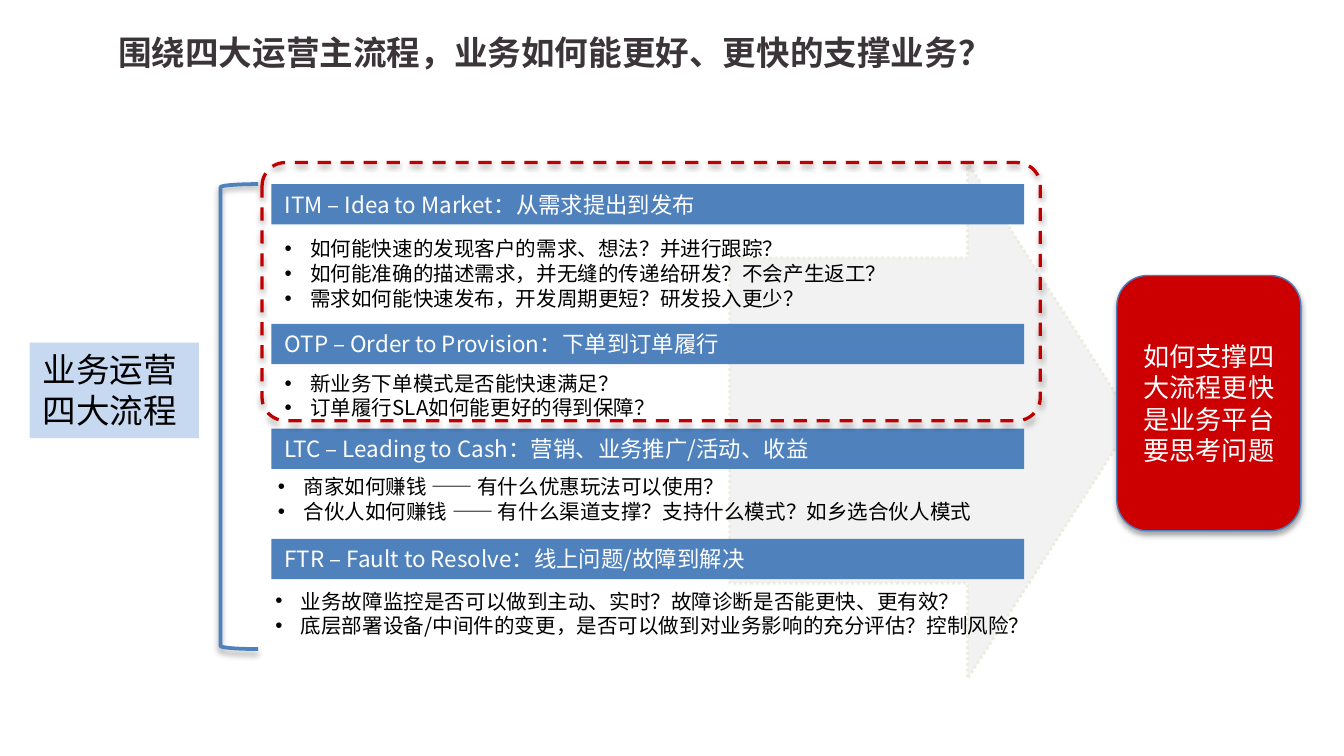
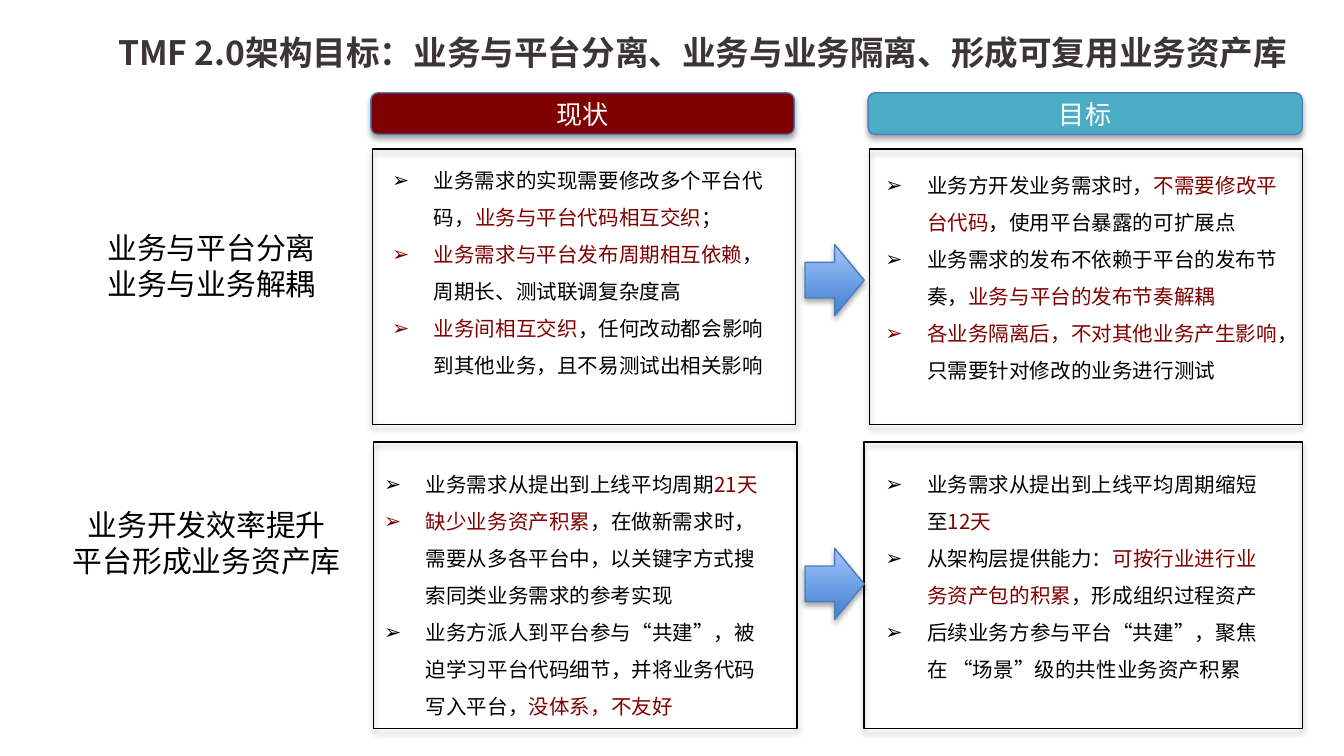
from lxml.etree import SubElement
from pptx import Presentation
from pptx.dml.color import RGBColor
from pptx.enum.dml import MSO_LINE
from pptx.enum.shapes import MSO_SHAPE
from pptx.enum.text import MSO_ANCHOR, PP_ALIGN
from pptx.oxml.ns import qn
from pptx.util import Inches, Pt

RECTANGLE, ROUNDED = MSO_SHAPE.RECTANGLE, MSO_SHAPE.ROUNDED_RECTANGLE
ARROW, BRACKET = MSO_SHAPE.RIGHT_ARROW, MSO_SHAPE.LEFT_BRACKET
DASH, DOTS = MSO_LINE.DASH, MSO_LINE.ROUND_DOT
TOP, MIDDLE = MSO_ANCHOR.TOP, MSO_ANCHOR.MIDDLE
LEFT, CENTER = PP_ALIGN.LEFT, PP_ALIGN.CENTER

FONT = "Noto Sans CJK SC"
BLACK = RGBColor(0x00, 0x00, 0x00)
WHITE = RGBColor(0xFF, 0xFF, 0xFF)
TITLE_GRAY = RGBColor(0x3B, 0x34, 0x39)
ARROW_GRAY = RGBColor(0xF2, 0xF2, 0xF2)
ARROW_EDGE = RGBColor(0xEE, 0xEC, 0xE1)
PALE_BLUE = RGBColor(0xC6, 0xD9, 0xF1)
BLUE = RGBColor(0x4F, 0x81, 0xBD)
EDGE_BLUE = RGBColor(0x4B, 0x7E, 0xBC)
RED = RGBColor(0xCC, 0x00, 0x00)
FRAME_RED = RGBColor(0xC0, 0x00, 0x00)
DARK_RED = RGBColor(0x80, 0x00, 0x00)
TEAL = RGBColor(0x4B, 0xAC, 0xC6)
GRADIENT = (RGBColor(0x3F, 0x80, 0xCE), RGBColor(0xA4, 0xC4, 0xFF))


def add_box(slide, kind, area, fill=None, line=None, width=0.75, shadow=False):
    """Add a preset shape; area is left, top, width and height in inches."""
    shape = slide.shapes.add_shape(kind, *map(Inches, area))
    shape.shadow.inherit = False
    if fill is None:
        shape.fill.background()
    else:
        shape.fill.solid()
        shape.fill.fore_color.rgb = fill
    if line is None:
        shape.line.fill.background()
    else:
        shape.line.color.rgb = line
        shape.line.width = Pt(width)
    if shadow:
        effects = shape._element.spPr.find(qn("a:effectLst"))
        outer = SubElement(effects, qn("a:outerShdw"), blurRad=str(Pt(3.1)), dist=str(Pt(1.8)),
                           dir="5400000", rotWithShape="0")
        color = SubElement(outer, qn("a:srgbClr"), val="000000")
        SubElement(color, qn("a:alpha"), val="35000")
    return shape


def write(shape, lines, size, color=BLACK, align=LEFT, anchor=TOP, bold=False,
          spacing=None, bullet=None, indent=0.19):
    """Fill a shape with paragraphs; text between asterisks is dark red."""
    frame = shape.text_frame
    frame.word_wrap = True
    frame.vertical_anchor = anchor
    for index, line in enumerate(lines):
        paragraph = frame.paragraphs[0] if index == 0 else frame.add_paragraph()
        paragraph.alignment = align
        if spacing:
            paragraph.line_spacing = spacing
        if bullet:
            properties = paragraph._p.get_or_add_pPr()
            properties.set("marL", str(Inches(indent)))
            properties.set("indent", str(-Inches(indent)))
            SubElement(properties, qn("a:buFont"), typeface="Arial")
            SubElement(properties, qn("a:buChar"), char=bullet)
        base = DARK_RED if line.startswith("*") else color
        paragraph.font.size = Pt(size)
        paragraph.font.bold = bold
        paragraph.font.name = FONT
        paragraph.font.color.rgb = base
        SubElement(paragraph.font._rPr, qn("a:ea"), typeface=FONT)
        for position, part in enumerate(line.split("*")):
            if part:
                run = paragraph.add_run()
                run.text = part
                run_color = DARK_RED if position % 2 else color
                if run_color != base:
                    run.font.color.rgb = run_color


presentation = Presentation()
presentation.slide_width = Inches(10)
presentation.slide_height = presentation.slide_width * 9 // 16

titles = [
    "围绕四大运营主流程，业务如何能更好、更快的支撑业务？",
    "TMF 2.0架构目标：业务与平台分离、业务与业务隔离、形成可复用业务资产库",
]
slides = []
for title in titles:
    slide = presentation.slides.add_slide(presentation.slide_layouts[6])
    title_box = slide.shapes.add_textbox(*map(Inches, (0.78, 0.18, 9.08, 0.45)))
    write(title_box, [title], 18, TITLE_GRAY, anchor=MIDDLE, bold=True, spacing=0.9)
    slides.append(slide)
process_slide, goal_slide = slides

# Slide 1: four operating processes
big_arrow = add_box(process_slide, ARROW, (5.43, 1.21, 3, 3.84), ARROW_GRAY, ARROW_EDGE, 1.5)
big_arrow.line.dash_style = DOTS
big_arrow.adjustments[0] = 0.63
big_arrow.adjustments[1] = 0.41

label = add_box(process_slide, RECTANGLE, (0.22, 2.55, 1.26, 0.71), PALE_BLUE)
write(label, ["业务运营四大流程"], 18)
add_box(process_slide, BRACKET, (1.64, 1.37, 0.28, 3.46), line=BLUE, width=2, shadow=True)

BAR_LEFT, BAR_WIDTH, BAR_HEIGHT = 2.02, 5.6, 0.3
# heading, top of the bar, then left, top and width of the questions, questions
processes = [
    ("ITM – Idea to Market：从需求提出到发布", 1.37, (2.02, 1.71, 5.6), [
        "如何能快速的发现客户的需求、想法？并进行跟踪？",
        "如何能准确的描述需求，并无缝的传递给研发？不会产生返工？",
        "需求如何能快速发布，开发周期更短？研发投入更少？"]),
    ("OTP – Order to Provision：下单到订单履行", 2.41, (2.02, 2.71, 5.6), [
        "新业务下单模式是否能快速满足？",
        "订单履行SLA如何能更好的得到保障？"]),
    ("LTC – Leading to Cash：营销、业务推广/活动、收益", 3.19, (1.97, 3.48, 5.6), [
        "商家如何赚钱 —— 有什么优惠玩法可以使用？",
        "合伙人如何赚钱 —— 有什么渠道支撑？支持什么模式？如乡选合伙人模式"]),
    ("FTR – Fault to Resolve：线上问题/故障到解决", 4.01, (1.95, 4.33, 5.79), [
        "业务故障监控是否可以做到主动、实时？故障诊断是否能更快、更有效？",
        "底层部署设备/中间件的变更，是否可以做到对业务影响的充分评估？控制风险？"]),
]
for heading, bar_top, place, questions in processes:
    bar = add_box(process_slide, RECTANGLE, (BAR_LEFT, bar_top, BAR_WIDTH, BAR_HEIGHT), BLUE)
    write(bar, [heading], 12, WHITE)
    height = 0.09 + 0.19 * len(questions)
    question_box = process_slide.shapes.add_textbox(*map(Inches, (*place, height)))
    write(question_box, questions, 11, bullet="•")

conclusion = add_box(process_slide, ROUNDED, (8.31, 2.05, 1.37, 1.9), RED, EDGE_BLUE, shadow=True)
write(conclusion, ["如何支撑四大流程更快是业务平台要思考问题"], 14, WHITE, CENTER, MIDDLE)
focus_frame = add_box(process_slide, ROUNDED, (1.95, 1.21, 5.79, 1.92),
                      line=FRAME_RED, width=1.75, shadow=True)
focus_frame.line.dash_style = DASH
focus_frame.adjustments[0] = 0.09

# Slide 2: present state against goal
for heading, left, width, fill in [("现状", 2.76, 3.15, DARK_RED), ("目标", 6.46, 3.23, TEAL)]:
    header = add_box(goal_slide, ROUNDED, (left, 0.69, width, 0.31), fill, EDGE_BLUE, shadow=True)
    write(header, [heading], 14, WHITE, CENTER, MIDDLE)

topics = [
    ((0.69, 1.66, 1.77, 0.64), ["业务与平台分离", "业务与业务解耦"]),
    ((0.31, 3.72, 2.46, 0.64), ["业务开发效率提升", "平台形成业务资产库"]),
]
for area, lines in topics:
    topic_box = goal_slide.shapes.add_textbox(*map(Inches, area))
    write(topic_box, lines, 16, align=CENTER)

# panel, text area, points
panels = [
    ((2.77, 1.11, 3.15, 2.05), (2.82, 1.11, 3.06, 1.77), [
        "业务需求的实现需要修改多个平台代码，*业务与平台代码相互交织*；",
        "*业务需求与平台发布周期相互依赖*，周期长、测试联调复杂度高",
        "*业务间相互交织*，任何改动都会影响到其他业务，且不易测试出相关影响"]),
    ((6.47, 1.11, 3.22, 2.05), (6.49, 1.15, 3.23, 1.77), [
        "业务方开发业务需求时，*不需要修改平台代码*，使用平台暴露的可扩展点",
        "业务需求的发布不依赖于平台的发布节奏，*业务与平台的发布节奏解耦*",
        "*各业务隔离后，不对其他业务产生影响*，只需要针对修改的业务进行测试"]),
    ((2.78, 3.29, 3.15, 2.13), (2.76, 3.37, 3.06, 2.04), [
        "业务需求从提出到上线平均周期*21天*",
        "*缺少业务资产积累*，在做新需求时，需要从多各平台中，以关键字方式搜索同类业务需求的参考实现",
        "业务方派人到平台参与“共建”，被迫学习平台代码细节，并将业务代码写入平台，*没体系，不友好*"]),
    ((6.43, 3.29, 3.26, 2.13), (6.49, 3.37, 3.06, 1.77), [
        "业务需求从提出到上线平均周期缩短至*12天*",
        "从架构层提供能力：*可按行业进行业务资产包的积累*，形成组织过程资产",
        "后续业务方参与平台“共建”，聚焦在 “场景”级的共性业务资产积累"]),
]
for panel_area, text_area, points in panels:
    add_box(goal_slide, RECTANGLE, panel_area, line=BLACK, shadow=True)
    point_box = goal_slide.shapes.add_textbox(*map(Inches, text_area))
    write(point_box, points, 11, spacing=1.5, bullet="➢", indent=0.31)

for top in (1.82, 4.08):
    step_arrow = add_box(goal_slide, ARROW, (5.99, top, 0.44, 0.53), BLUE, EDGE_BLUE, shadow=True)
    step_arrow.fill.gradient()
    step_arrow.fill.gradient_angle = 90
    for stop, color, position in zip(step_arrow.fill.gradient_stops, GRADIENT, (0, 1)):
        stop.color.rgb = color
        stop.position = position

presentation.save("out.pptx")
